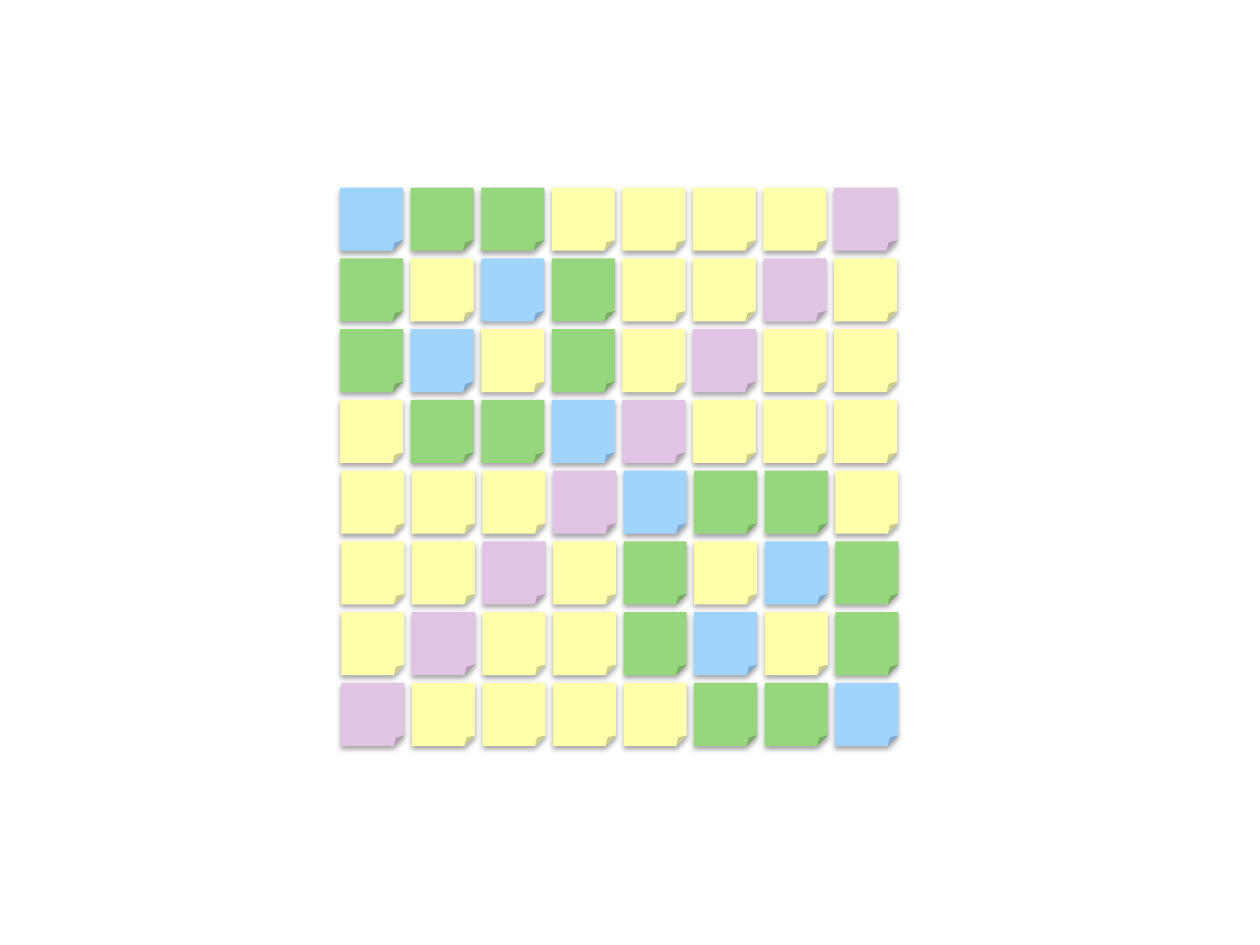
from lxml import etree
from pptx import Presentation
from pptx.dml.color import RGBColor
from pptx.enum.shapes import MSO_SHAPE
from pptx.oxml.ns import qn
from pptx.util import Inches, Pt

NOTE_SHAPE = MSO_SHAPE.FOLDED_CORNER
BLANK_LAYOUT = 6
COLORS = {"B": "9FD4FF", "G": "96D67D", "Y": "FFFFAB", "P": "E1C4E4", "shadow": "000000"}
NOTE_ROWS = [
    "BGGYYYYP",
    "GYBGYYPY",
    "GBYGYPYY",
    "YGGBPYYY",
    "YYYPBGGY",
    "YYPYGYBG",
    "YPYYGBYG",
    "PYYYYGGB",
]
NOTE_SIZE = 0.5
BOARD_BOX = (2.7, 1.49, 4.42, 4.43)
ROW_BLOCK = 4
BLOCK_SHIFT = 0.01


def add_soft_shadow(shape):
    """Give the shape a soft shadow that falls straight down."""
    shape.shadow.inherit = False
    effects = shape._element.spPr.find(qn("a:effectLst"))
    shadow = etree.SubElement(
        effects, qn("a:outerShdw"), blurRad=str(Pt(3.1)), dist=str(Pt(1.8)),
        dir=str(90 * 60000), rotWithShape="0")
    color = etree.SubElement(shadow, qn("a:srgbClr"), val=COLORS["shadow"])
    etree.SubElement(color, qn("a:alpha"), val="35000")


def add_note(page, left, top, color):
    """Place one square sticky note without an outline."""
    note = page.shapes.add_shape(
        NOTE_SHAPE, Inches(left), Inches(top), Inches(NOTE_SIZE), Inches(NOTE_SIZE))
    note.fill.solid()
    note.fill.fore_color.rgb = RGBColor.from_string(color)
    note.line.fill.background()
    add_soft_shadow(note)


def add_note_board(page, box, rows):
    """Spread the notes evenly over the box, the lower block shifted slightly."""
    left, top, width, height = box
    column_step = (width - NOTE_SIZE) / (len(rows[0]) - 1)
    row_step = (height - NOTE_SIZE) / (len(rows) - 1)
    for row, letters in enumerate(rows):
        row_left = left + row // ROW_BLOCK * BLOCK_SHIFT
        for column, letter in enumerate(letters):
            add_note(page, row_left + column * column_step,
                     top + row * row_step, COLORS[letter])


def build_deck():
    """Build the deck with its single page of notes."""
    deck = Presentation()
    deck.slide_width, deck.slide_height = Inches(10), Inches(7.5)
    page = deck.slides.add_slide(deck.slide_layouts[BLANK_LAYOUT])
    add_note_board(page, BOARD_BOX, NOTE_ROWS)
    deck.save("out.pptx")


build_deck()
